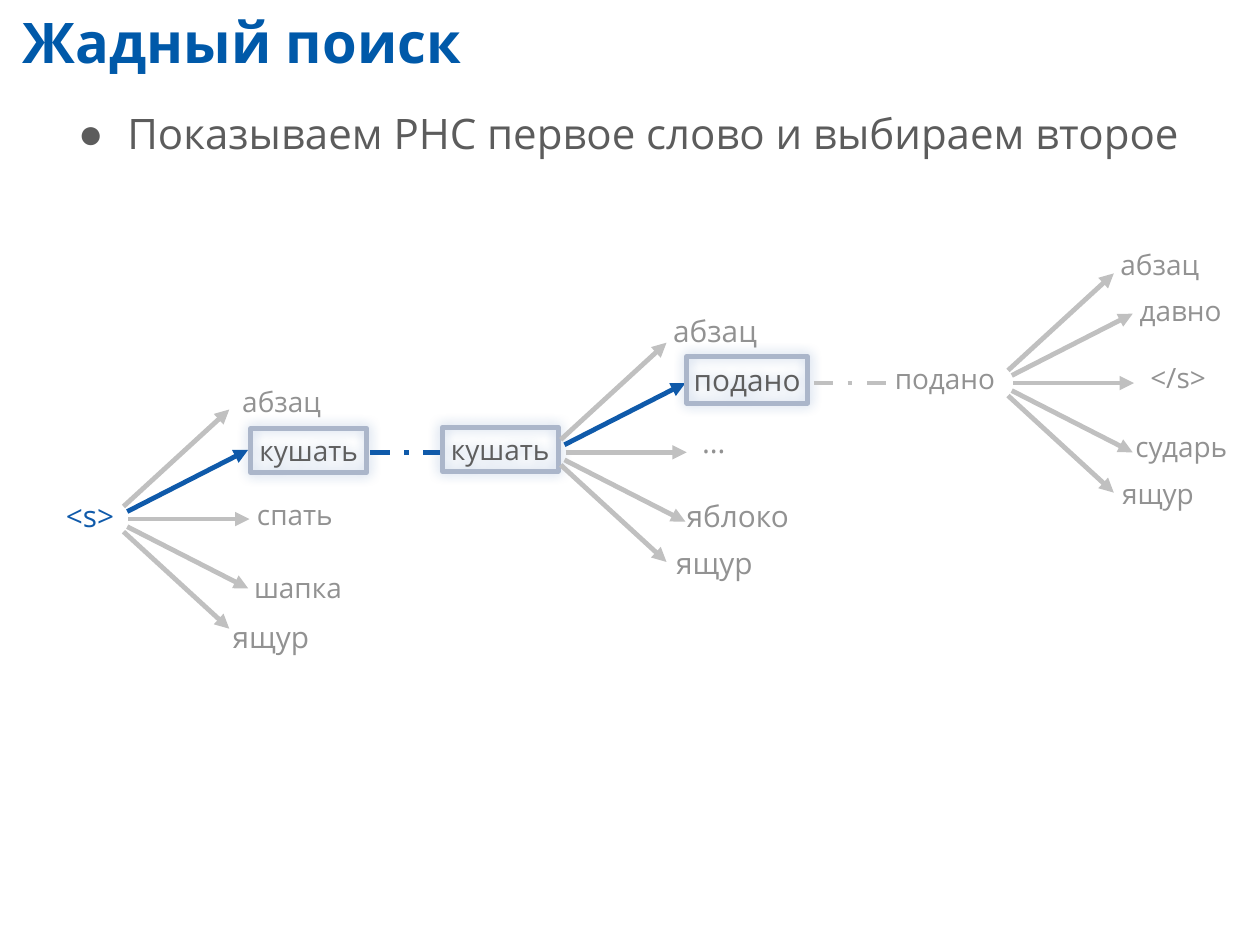
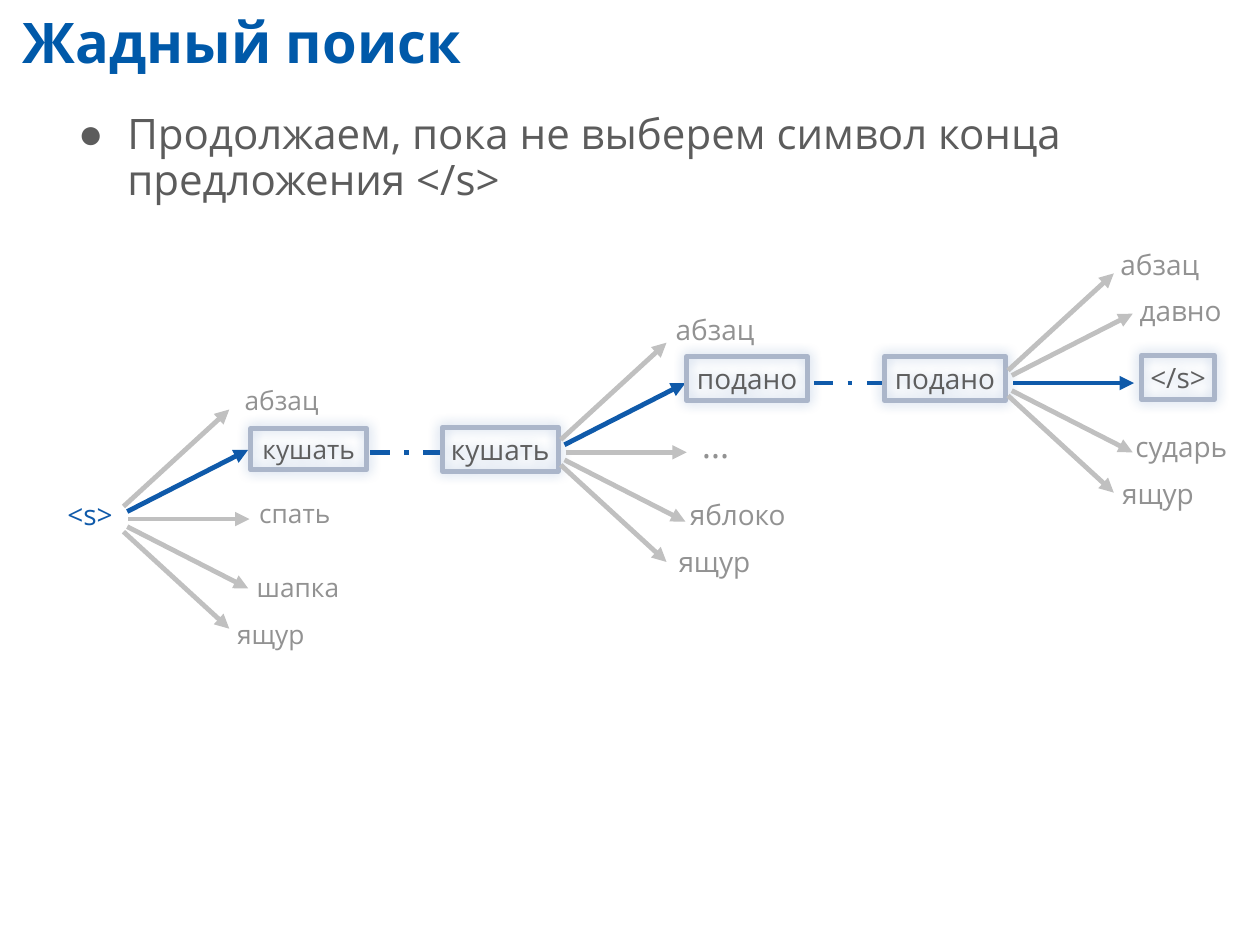
from dataclasses import dataclass

from lxml.etree import SubElement
from pptx import Presentation
from pptx.dml.color import RGBColor
from pptx.enum.dml import MSO_LINE
from pptx.enum.shapes import MSO_CONNECTOR, MSO_SHAPE
from pptx.enum.text import MSO_ANCHOR, MSO_AUTO_SIZE, PP_ALIGN
from pptx.oxml.ns import qn
from pptx.util import Inches, Pt

FONT = "Open Sans"
TITLE_BLUE = RGBColor(0x00, 0x59, 0xA9)
PATH_BLUE = RGBColor(0x0F, 0x5A, 0xAA)
BODY_GRAY = RGBColor(0x5C, 0x5C, 0x5C)
CHOSEN_GRAY = RGBColor(0x5E, 0x5E, 0x5E)
WORD_GRAY = RGBColor(0x92, 0x92, 0x92)
ARROW_GRAY = RGBColor(0xC0, 0xC0, 0xC0)
FRAME = RGBColor(0xAB, 0xB6, 0xCA)
GLOW = RGBColor(0x24, 0x59, 0xA4)
LINE_WIDTH = Pt(2.75)

# Arrow ends relative to the centre of a fan: x1, y1, x2, y2
ARROWS = [
    (0, -0.10, 0.84, -0.87),
    (0.03, -0.06, 0.99, -0.55),
    (0.04, 0, 1, 0),
    (0.03, 0.06, 0.99, 0.55),
    (0, 0.10, 0.84, 0.87),
]


@dataclass
class Fan:
    """A root word with five candidates; offsets are from (x, y)."""
    x: float
    y: float
    root: tuple         # word, dx, dy, width
    candidates: list    # the same for each arrow, top to bottom
    link_dx: float = 0  # start of the dashed link to the previous fan


FANS = [
    Fan(0.98, 4.12, ("<s>", -0.5, -0.21, 0.47), [
        ("абзац", 0.87, -1.11, 0.77),
        ("кушать", 1.01, -0.72, 0.92),
        ("спать", 1, -0.21, 0.72),
        ("шапка", 0.97, 0.37, 0.83),
        ("ящур", 0.82, 0.75, 0.7),
    ]),
    Fan(4.45, 3.59, ("кушать", -0.94, -0.2, 0.92), [
        ("абзац", 0.84, -1.15, 0.77),
        ("подано", 1, -0.76, 0.96),
        ("…", 1.08, -0.27, 0.27),
        ("яблоко", 0.94, 0.32, 0.93),
        ("ящур", 0.87, 0.69, 0.7),
    ], -1.51),
    Fan(8, 3.04, ("подано", -0.98, -0.21, 0.96), [
        ("абзац", 0.82, -1.12, 0.77),
        ("давно", 0.97, -0.75, 0.8),
        ("</s>", 1.06, -0.22, 0.58),
        ("сударь", 0.93, 0.33, 0.89),
        ("ящур", 0.84, 0.7, 0.7),
    ], -1.54),
]


def style_font(p, size, color, bold=False):
    for r in p.runs:
        r.font.name = FONT
        r.font.size = Pt(size)
        r.font.bold = bold
        r.font.color.rgb = color


def set_insets(tf, x, y):
    tf.margin_left = tf.margin_right = Inches(x)
    tf.margin_top = tf.margin_bottom = Inches(y)
    tf.auto_size = MSO_AUTO_SIZE.NONE
    tf.word_wrap = True


def place(sp, left, top, width, height):
    sp.left, sp.top = Inches(left), Inches(top)
    sp.width, sp.height = Inches(width), Inches(height)


def add_heading(s, text):
    sp = s.shapes.title
    place(sp, 0, 0, 10, 0.65)
    tf = sp.text_frame
    tf.text = text
    tf.vertical_anchor = MSO_ANCHOR.MIDDLE
    set_insets(tf, 0.1, 0.05)
    p = tf.paragraphs[0]
    p.alignment = PP_ALIGN.LEFT
    p._p.get_or_add_pPr().set("indent", str(Inches(0.08)))
    style_font(p, 32, TITLE_BLUE, bold=True)


def add_bullet(s, text, height):
    sp = s.placeholders[1]
    place(sp, 0.59, 0.87, 9.32, height)
    tf = sp.text_frame
    tf.text = text
    set_insets(tf, 0.03, 0.03)
    p = tf.paragraphs[0]
    p.space_before = Pt(0)
    p.line_spacing = 0.9
    pPr = p._p.get_or_add_pPr()
    pPr.set("marL", str(Inches(0.39)))
    pPr.set("indent", str(-Inches(0.39)))
    color = SubElement(pPr, qn("a:buClr"))
    SubElement(color, qn("a:srgbClr"), val=str(BODY_GRAY))
    SubElement(pPr, qn("a:buChar"), char="●")
    style_font(p, 24, BODY_GRAY)


def add_line(s, x1, y1, x2, y2, color, arrow=True):
    """Draw an arrow, or a dashed link without a head."""
    line = s.shapes.add_connector(
        MSO_CONNECTOR.STRAIGHT, Inches(x1), Inches(y1), Inches(x2), Inches(y2))
    line.line.color.rgb = color
    line.line.width = LINE_WIDTH
    if arrow:
        SubElement(line.line._get_or_add_ln(), qn("a:tailEnd"), type="triangle")
    else:
        line.line.dash_style = MSO_LINE.DASH_DOT
    SubElement(line._element.spPr, qn("a:effectLst"))


def frame_word(sp):
    sp.fill.background()
    sp.line.color.rgb = FRAME
    sp.line.width = LINE_WIDTH
    effects = SubElement(sp._element.spPr, qn("a:effectLst"))
    shadow = SubElement(effects, qn("a:outerShdw"), blurRad=str(Pt(7)),
                        dist="0", dir="0", rotWithShape="0")
    color = SubElement(shadow, qn("a:srgbClr"), val=str(GLOW))
    SubElement(color, qn("a:alpha"), val="29000")


def add_word(s, fan, word, size, color=WORD_GRAY, framed=False):
    text, dx, dy, width = word
    height = round(size * 0.018 + 0.06, 2)
    box = [Inches(v) for v in (fan.x + dx, fan.y + dy, width, height)]
    if framed:
        sp = s.shapes.add_shape(MSO_SHAPE.RECTANGLE, *box)
        frame_word(sp)
        color = CHOSEN_GRAY
    else:
        sp = s.shapes.add_textbox(*box)
    tf = sp.text_frame
    tf.text = text
    tf.vertical_anchor = MSO_ANCHOR.MIDDLE
    set_insets(tf, 0.04, 0.04)
    p = tf.paragraphs[0]
    p.alignment = PP_ALIGN.CENTER
    style_font(p, size, color)


def add_fan(s, fan, chosen, root_size, sizes):
    """Draw a fan; chosen is the index of the picked candidate or None."""
    reached = chosen is not None
    if fan.link_dx:
        start = fan.x + fan.link_dx
        add_line(s, start, fan.y, start + 0.6, fan.y,
                 PATH_BLUE if reached else ARROW_GRAY, arrow=False)
        add_word(s, fan, fan.root, root_size, framed=reached)
    else:
        add_word(s, fan, fan.root, root_size, PATH_BLUE)
    for i, (x1, y1, x2, y2) in enumerate(ARROWS):
        add_line(s, fan.x + x1, fan.y + y1, fan.x + x2, fan.y + y2,
                 PATH_BLUE if i == chosen else ARROW_GRAY)
        add_word(s, fan, fan.candidates[i], sizes[i], framed=i == chosen)


def add_search_slide(prs, text, text_height, steps):
    s = prs.slides.add_slide(prs.slide_layouts[1])
    add_heading(s, "Жадный поиск")
    add_bullet(s, text, text_height)
    for fan, step in zip(FANS, steps):
        add_fan(s, fan, *step)


def main():
    prs = Presentation()
    prs.slide_width, prs.slide_height = Inches(10), Inches(7.5)
    add_search_slide(
        prs, "Показываем РНС первое слово и выбираем второе", 0.46,
        [(1, 17, [16, 16, 16, 16, 17]), (1, 16, [17] * 5), (None, 16, [16] * 5)])
    add_search_slide(
        prs, "Продолжаем, пока не выберем символ конца предложения </s>", 0.86,
        [(1, 16, [15] * 5), (1, 16, [16, 16, 20, 16, 16]), (2, 16, [16] * 5)])
    prs.save("out.pptx")


if __name__ == "__main__":
    main()
